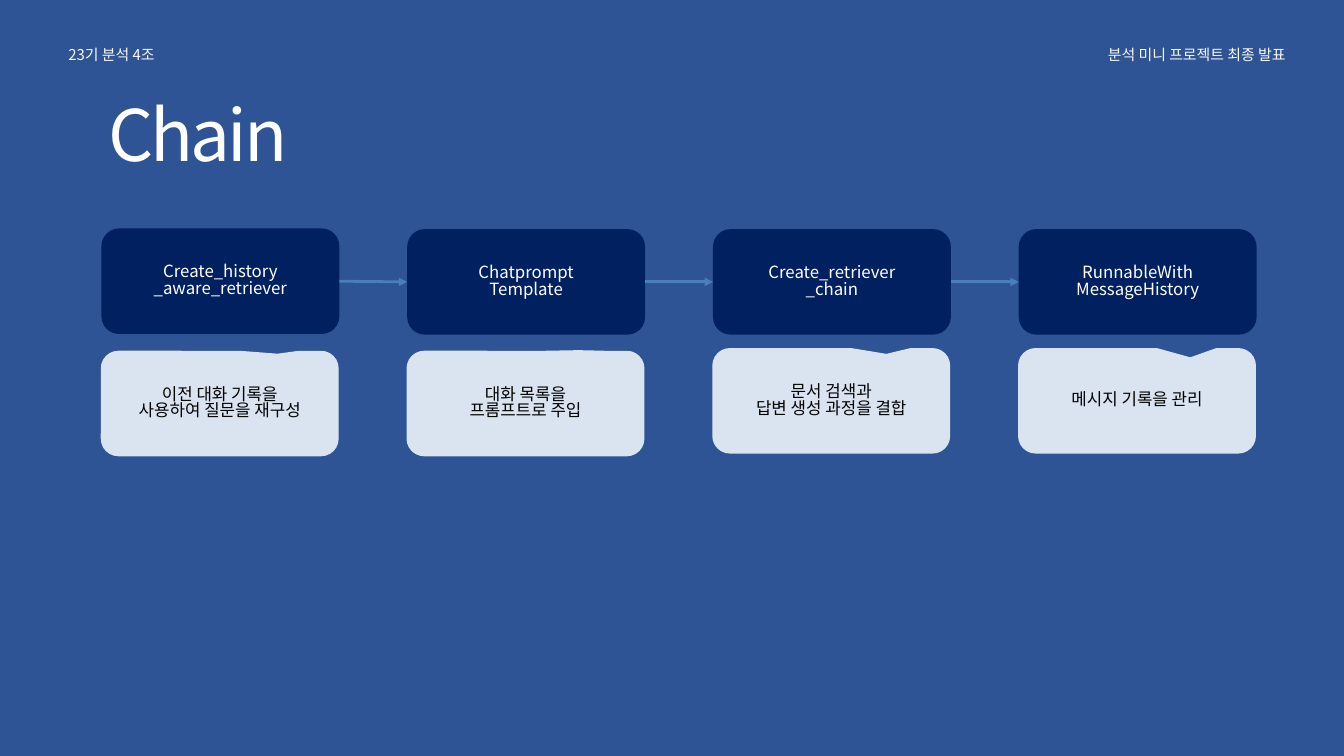
from pptx import Presentation
from pptx.dml.color import RGBColor
from pptx.enum.shapes import MSO_CONNECTOR as CONNECTOR, MSO_SHAPE as SHAPE
from pptx.enum.text import MSO_ANCHOR as ANCHOR, PP_ALIGN as ALIGN
from pptx.oxml.ns import qn
from pptx.util import Inches, Pt
from lxml.etree import SubElement

FONT = "Noto Sans CJK KR"
COLORS = {
    "background": "2E5495",
    "step": "002060",
    "note": "DAE4F1",
    "arrow": "4B7EBC",
    "light": "FFFFFF",
    "header": "F8F8F8",
    "dark": "000000",
}

BOX_WIDTH, BOX_HEIGHT = 3.54, 1.57
STEP_LEFT, NOTE_LEFT, PITCH = 1.51, 1.5, 4.55

# step text, step top, note text, note top, note pointer (x, y)
STEPS = [
    ("Create_history\n_aware_retriever", 3.4,
     "이전 대화 기록을\n사용하여 질문을 재구성", 5.22, (0.243, -0.472)),
    ("Chatprompt\nTemplate", 3.41,
     "대화 목록을\n프롬프트로 주입", 5.22, (0.224, -0.506)),
    ("Create_retriever\n_chain", 3.41,
     "문서 검색과\n답변 생성 과정을 결합", 5.18, (0.232, -0.445)),
    ("RunnableWith\nMessageHistory", 3.41,
     "메시지 기록을 관리", 5.18, (0.224, -0.412)),
]


def color(name):
    return RGBColor.from_string(COLORS[name])


def write(frame, text, size=18, fill="light", align=ALIGN.LEFT,
          anchor=ANCHOR.TOP, tracking=None):
    """Fill a text frame, one paragraph per line of text."""
    frame.word_wrap = True
    frame.vertical_anchor = anchor
    for index, line in enumerate(text.split("\n")):
        paragraph = frame.add_paragraph() if index else frame.paragraphs[0]
        paragraph.alignment = align
        paragraph.line_spacing = 0.83
        run = paragraph.add_run()
        run.text = line
        run.font.size = Pt(size)
        run.font.name = FONT
        run.font.color.rgb = color(fill)
        properties = run.font._element
        SubElement(properties, qn("a:ea"), typeface=FONT)
        if tracking is not None:
            properties.set("spc", str(tracking * 100))


class ChainSlide:
    def __init__(self, presentation):
        self.slide = presentation.slides.add_slide(presentation.slide_layouts[6])
        background = self.slide.background.fill
        background.solid()
        background.fore_color.rgb = color("background")

    def label(self, left, top, width, height, text, top_inset=0.05, **style):
        label = self.slide.shapes.add_textbox(
            Inches(left), Inches(top), Inches(width), Inches(height))
        label.text_frame.margin_top = Inches(top_inset)
        write(label.text_frame, text, **style)

    def box(self, kind, left, top, text, fill, text_fill):
        box = self.slide.shapes.add_shape(
            kind, Inches(left), Inches(top), Inches(BOX_WIDTH), Inches(BOX_HEIGHT))
        box.shadow.inherit = False
        box.fill.solid()
        box.fill.fore_color.rgb = color(fill)
        box.line.fill.background()
        write(box.text_frame, text, fill=text_fill, align=ALIGN.CENTER,
              anchor=ANCHOR.MIDDLE)
        return box

    def step(self, left, top, text):
        return self.box(SHAPE.ROUNDED_RECTANGLE, left, top, text, "step", "light")

    def note(self, left, top, text, pointer):
        note = self.box(SHAPE.ROUNDED_RECTANGULAR_CALLOUT, left, top, text,
                        "note", "dark")
        note.adjustments[0], note.adjustments[1] = pointer

    def arrow(self, source, target):
        arrow = self.slide.shapes.add_connector(CONNECTOR.STRAIGHT, 0, 0, 0, 0)
        arrow.begin_connect(source, 3)
        arrow.end_connect(target, 1)
        arrow.line.color.rgb = color("arrow")
        arrow.line.width = Pt(3)
        SubElement(arrow.line._get_or_add_ln(), qn("a:tailEnd"), type="triangle")
        SubElement(arrow._element.spPr, qn("a:effectLst"))


def main():
    presentation = Presentation()
    presentation.slide_width = Inches(20)
    presentation.slide_height = Inches(11.25)
    chain = ChainSlide(presentation)

    chain.label(1.51, 1.41, 12.33, 1.38, "Chain", top_inset=0.15, size=76,
                tracking=-3)
    steps = [chain.step(STEP_LEFT + PITCH * column, top, text)
             for column, (text, top, *_) in enumerate(STEPS)]
    for source, target in zip(steps, steps[1:]):
        chain.arrow(source, target)
    for column, (_, _, text, top, pointer) in enumerate(STEPS):
        chain.note(NOTE_LEFT + PITCH * column, top, text, pointer)

    chain.label(0.92, 0.67, 3.36, 0.37, "23기 분석 4조", size=16, fill="header")
    chain.label(10.57, 0.67, 8.66, 0.37, "분석 미니 프로젝트 최종 발표", size=16,
                fill="header", align=ALIGN.RIGHT)
    presentation.save("out.pptx")


if __name__ == "__main__":
    main()
